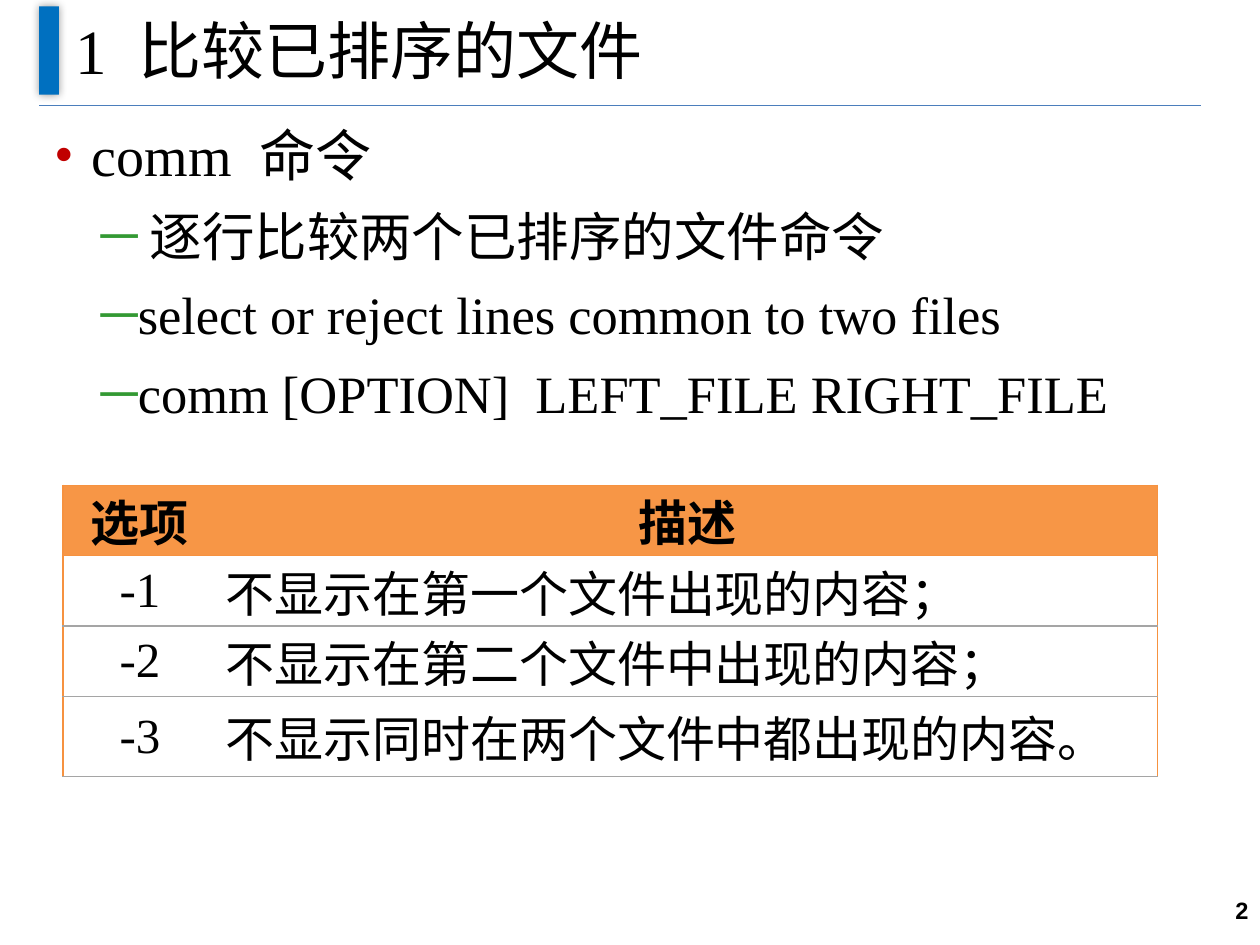
"""Build the slide on comparing sorted files with comm."""
import dataclasses

import lxml.etree
import pptx
import pptx.dml.color
import pptx.enum.shapes
import pptx.enum.text
import pptx.oxml
import pptx.oxml.ns
import pptx.util
from pptx.util import Cm

ALIGN = pptx.enum.text.PP_ALIGN
ANCHOR = pptx.enum.text.MSO_ANCHOR


@dataclasses.dataclass(frozen=True)
class Theme:
    """Fonts, colours and type sizes of the slide."""
    serif: str = "Times New Roman"
    sans: str = "Arial"
    text: str = "000000"
    paper: str = "FFFFFF"
    bar: str = "0070C0"
    rule: str = "4B7EBC"
    bullet: str = "C00000"
    dash: str = "339933"
    header: str = "F79646"
    frame: str = "F69240"
    row_rule: str = "A5A5A5"
    title_size: float = 36
    topic_size: float = 32
    detail_size: float = 30
    table_size: float = 28
    number_size: float = 13.5


THEME = Theme()

TOPICS = [
    (0, "comm  命令"),
    (1, " 逐行比较两个已排序的文件命令"),
    (1, "select or reject lines common to two files"),
    (1, "comm [OPTION]  LEFT_FILE RIGHT_FILE"),
]
OPTIONS = [
    ("选项", "描述"),
    ("-1", "不显示在第一个文件出现的内容；"),
    ("-2", "不显示在第二个文件中出现的内容；"),
    ("-3", "不显示同时在两个文件中都出现的内容。"),
]


def color(value):
    """Return the RGB colour for a hex value."""
    return pptx.dml.color.RGBColor.from_string(value)


def add_xml(parent, tag, **attributes):
    """Append a DrawingML element to its parent and return it."""
    element = lxml.etree.SubElement(parent, pptx.oxml.ns.qn(f"a:{tag}"))
    for name, value in attributes.items():
        element.set(name, str(value))
    return element


def set_text(paragraph, text, size, align, font=THEME.serif, bold=False):
    """Fill a paragraph and format its runs."""
    paragraph.text = text
    paragraph.alignment = align
    for run in paragraph.runs:
        run.font.name = font
        run.font.size = pptx.util.Pt(size)
        run.font.bold = bold
        run.font.color.rgb = color(THEME.text)


def add_text_frame(slide, left, top, width, height, anchor):
    """Add a wrapping text box and return its text frame."""
    box = slide.shapes.add_textbox(Cm(left), Cm(top), Cm(width), Cm(height))
    box.text_frame.word_wrap = True
    box.text_frame.vertical_anchor = anchor
    return box.text_frame


def add_rule(slide):
    """Draw the thin line under the title."""
    line = slide.shapes.add_connector(
        pptx.enum.shapes.MSO_CONNECTOR.STRAIGHT, Cm(0.79), Cm(2.13), Cm(24.21), Cm(2.13))
    line.line.color.rgb = color(THEME.rule)
    line.line.width = pptx.util.Pt(0.75)
    add_xml(line._element.spPr, "effectLst")


def add_title_bar(slide):
    """Draw the blue bar with its soft shadow."""
    bar = slide.shapes.add_shape(
        pptx.enum.shapes.MSO_SHAPE.RECTANGLE, Cm(0.79), Cm(0.13), Cm(0.4), Cm(1.78))
    bar.fill.solid()
    bar.fill.fore_color.rgb = color(THEME.bar)
    bar.line.fill.background()
    bar.shadow.inherit = False
    effects = bar._element.spPr.find(pptx.oxml.ns.qn("a:effectLst"))
    shadow = add_xml(effects, "outerShdw", blurRad=pptx.util.Pt(5), dist=0, dir=0)
    add_xml(add_xml(shadow, "srgbClr", val="000000"), "alpha", val=40000)


def add_bullet(paragraph, character, bullet_color, margin, indent):
    """Give a paragraph a hanging coloured bullet."""
    properties = paragraph._p.get_or_add_pPr()
    properties.set("marL", str(Cm(margin)))
    properties.set("indent", str(Cm(indent)))
    add_xml(add_xml(properties, "buClr"), "srgbClr", val=bullet_color)
    add_xml(properties, "buFont", typeface=THEME.serif)
    add_xml(properties, "buChar", char=character)


def add_topics(slide):
    """Add the two-level bulleted list."""
    frame = add_text_frame(slide, 0.84, 2.31, 23.32, 16.1, ANCHOR.TOP)
    styles = [
        (THEME.topic_size, "•", THEME.bullet, 0.76, -0.76),
        (THEME.detail_size, "─", THEME.dash, 1.68, -0.74),
    ]
    for index, (level, text) in enumerate(TOPICS):
        paragraph = frame.add_paragraph() if index else frame.paragraphs[0]
        size, *bullet = styles[level]
        set_text(paragraph, text, size, ALIGN.JUSTIFY)
        paragraph.level = level
        paragraph.space_before = paragraph.space_after = pptx.util.Pt(4.5)
        add_bullet(paragraph, *bullet)


def set_borders(cell, **sides):
    """Set cell borders by side, with None for an absent line."""
    properties = cell._tc.get_or_add_tcPr()
    for side, value in sides.items():
        line = add_xml(properties, f"ln{side}", w=pptx.util.Pt(0.75))
        if value:
            add_xml(add_xml(line, "solidFill"), "srgbClr", val=value)
        else:
            add_xml(line, "noFill")


def add_option_table(slide):
    """Add the table of command options."""
    widths, heights = (3.1, 18.97), (1.42, 1.42, 1.42, 1.61)
    table = slide.shapes.add_table(
        len(OPTIONS), len(widths), Cm(1.27), Cm(9.78),
        Cm(sum(widths)), Cm(sum(heights))).table
    table.first_row = table.horz_banding = False
    for column, width in zip(table.columns, widths):
        column.width = Cm(width)
    for row, height in zip(table.rows, heights):
        row.height = Cm(height)
    for row_index, texts in enumerate(OPTIONS):
        is_header = row_index == 0
        for column_index, text in enumerate(texts):
            is_first = column_index == 0
            cell = table.cell(row_index, column_index)
            cell.vertical_anchor = ANCHOR.MIDDLE
            cell.margin_left = cell.margin_right = Cm(0.18)
            cell.margin_top = cell.margin_bottom = 0
            align = ALIGN.CENTER if is_header or is_first else ALIGN.LEFT
            set_text(cell.text_frame.paragraphs[0], text, THEME.table_size, align,
                     bold=is_header)
            set_borders(
                cell,
                L=THEME.frame if is_first else None,
                R=None if is_first else THEME.frame,
                T=THEME.frame if row_index <= 1 else THEME.row_rule,
                B=THEME.frame if is_header else THEME.row_rule)
            cell.fill.solid()
            cell.fill.fore_color.rgb = color(THEME.header if is_header else THEME.paper)


def main():
    """Build and save the presentation."""
    presentation = pptx.Presentation()
    presentation.slide_width, presentation.slide_height = Cm(25.4), Cm(19.05)
    slide = presentation.slides.add_slide(presentation.slide_layouts[6])
    add_rule(slide)
    add_title_bar(slide)
    title = add_text_frame(slide, 1.27, -0.08, 22.86, 2.13, ANCHOR.MIDDLE)
    set_text(title.paragraphs[0], "1  比较已排序的文件", THEME.title_size, ALIGN.LEFT)
    add_topics(slide)
    number = add_text_frame(slide, 22.96, 17.65, 2.36, 1.4, ANCHOR.MIDDLE)
    number.margin_right = Cm(0.15)
    set_text(number.paragraphs[0], "2", THEME.number_size, ALIGN.RIGHT, THEME.sans, True)
    add_option_table(slide)
    presentation.save("out.pptx")


if __name__ == "__main__":
    main()
